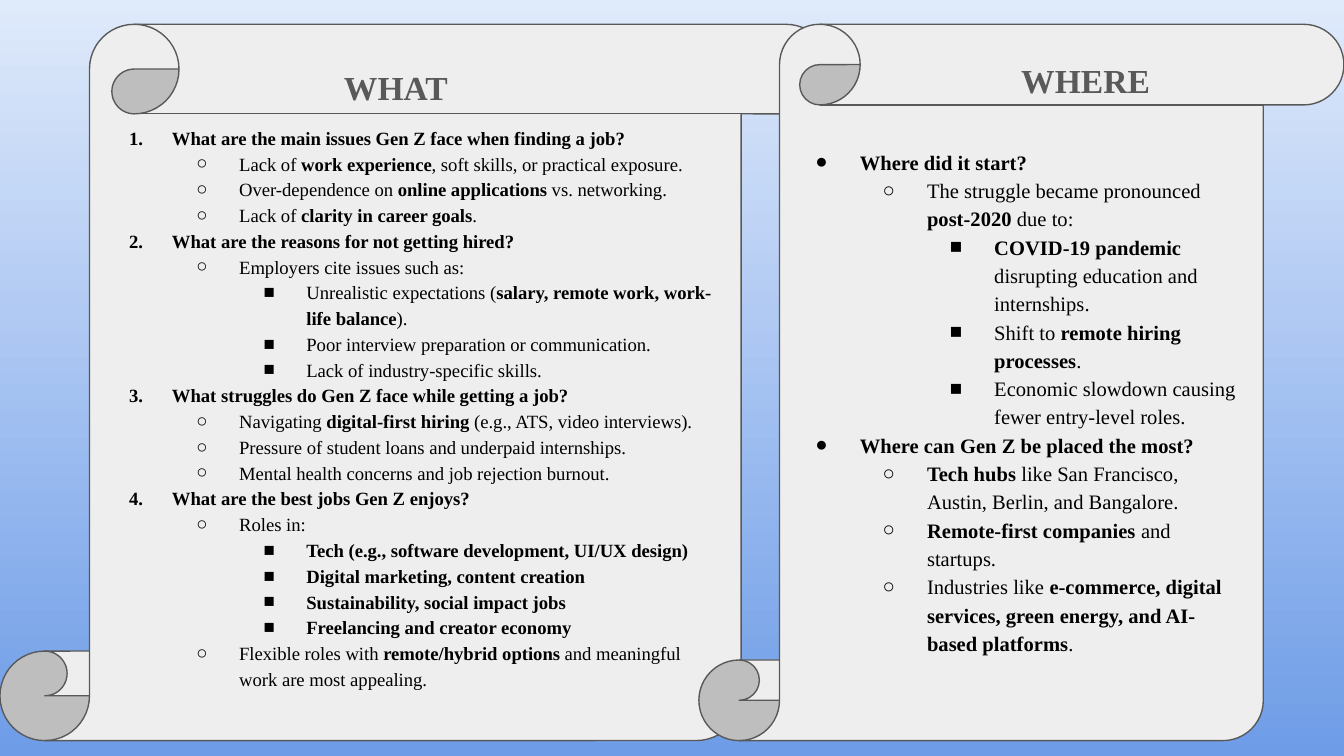
from dataclasses import dataclass

from lxml.etree import SubElement
from pptx import Presentation
from pptx.dml.color import RGBColor
from pptx.enum.shapes import MSO_SHAPE
from pptx.enum.text import MSO_ANCHOR, MSO_AUTO_SIZE, PP_ALIGN
from pptx.oxml.ns import qn
from pptx.util import Cm, Pt

SKY_TOP = RGBColor(0xDF, 0xEA, 0xFB)
SKY_BOTTOM = RGBColor(0x6E, 0x9C, 0xE7)
PAPER = RGBColor(0xEE, 0xEE, 0xEE)
GRAPHITE = RGBColor(0x59, 0x59, 0x59)
BLACK = RGBColor(0, 0, 0)
FONT = "Times New Roman"
LEVEL_STEP = 1.27
INSET = Cm(0.25)

# Each entry is (level, text); ** switches bold on and off.
WHAT_POINTS = [
    (0, "**What are the main issues Gen Z face when finding a job?**"),
    (1, "Lack of **work experience**, soft skills, or practical exposure."),
    (1, "Over-dependence on **online applications** vs. networking."),
    (1, "Lack of **clarity in career goals**."),
    (0, "**What are the reasons for not getting hired?**"),
    (1, "Employers cite issues such as:"),
    (2, "Unrealistic expectations (**salary, remote work, work-life balance**)."),
    (2, "Poor interview preparation or communication."),
    (2, "Lack of industry-specific skills."),
    (0, "**What struggles do Gen Z face while getting a job?**"),
    (1, "Navigating **digital-first hiring** (e.g., ATS, video interviews)."),
    (1, "Pressure of student loans and underpaid internships."),
    (1, "Mental health concerns and job rejection burnout."),
    (0, "**What are the best jobs Gen Z enjoys?**"),
    (1, "Roles in:"),
    (2, "**Tech (e.g., software development, UI/UX design)**"),
    (2, "**Digital marketing, content creation**"),
    (2, "**Sustainability, social impact jobs**"),
    (2, "**Freelancing and creator economy**"),
    (1, "Flexible roles with **remote/hybrid options** and meaningful work are most appealing."),
]
WHERE_POINTS = [
    (0, "**Where did it start?**"),
    (1, "The struggle became pronounced **post-2020** due to:"),
    (2, "**COVID-19 pandemic** disrupting education and internships."),
    (2, "Shift to **remote hiring processes**."),
    (2, "Economic slowdown causing fewer entry-level roles."),
    (0, "**Where can Gen Z be placed the most?**"),
    (1, "**Tech hubs** like San Francisco, Austin, Berlin, and Bangalore."),
    (1, "**Remote-first companies** and startups."),
    (1, "Industries like **e-commerce, digital services, green energy, and AI-based platforms**."),
]


@dataclass
class Box:
    """A rectangle in centimetres."""
    left: float
    top: float
    width: float
    height: float

    def inner(self, left, top, width, height):
        return Box(self.left + left, self.top + top, width, height)

    def lengths(self):
        return Cm(self.left), Cm(self.top), Cm(self.width), Cm(self.height)


def paint_background(slide):
    fill = slide.background.fill
    fill.gradient()
    fill.gradient_angle = 270
    for stop, color, position in zip(fill.gradient_stops, (SKY_TOP, SKY_BOTTOM), (0, 1)):
        stop.color.rgb = color
        stop.position = position


def place_text(placeholder, box):
    placeholder.left, placeholder.top, placeholder.width, placeholder.height = box.lengths()
    frame = placeholder.text_frame
    frame.word_wrap = True
    frame.auto_size = MSO_AUTO_SIZE.NONE
    frame.vertical_anchor = MSO_ANCHOR.TOP
    frame.margin_left = frame.margin_right = INSET
    frame.margin_top = frame.margin_bottom = INSET
    return frame


def add_run(paragraph, text, size, color, bold):
    run = paragraph.add_run()
    run.text = text
    run.font.name = FONT
    run.font.size = Pt(size)
    run.font.color.rgb = color
    run.font.bold = bold


def set_bullet(paragraph, level, hanging, numbered):
    properties = paragraph._p.get_or_add_pPr()
    properties.set("marL", str(Cm(LEVEL_STEP * (level + 1))))
    properties.set("indent", str(-Cm(hanging)))
    bullet_color = SubElement(properties, qn("a:buClr"))
    SubElement(bullet_color, qn("a:srgbClr"), val=str(BLACK))
    SubElement(properties, qn("a:buFont"), typeface=FONT)
    if numbered and level == 0:
        SubElement(properties, qn("a:buAutoNum"), type="arabicPeriod")
    else:
        SubElement(properties, qn("a:buChar"), char="●○■"[level])


def fill_list(frame, points, size, hanging, numbered):
    for index, (level, text) in enumerate(points):
        paragraph = frame.add_paragraph() if index else frame.paragraphs[0]
        paragraph.level = level
        paragraph.alignment = PP_ALIGN.LEFT
        paragraph.line_spacing = 1.15
        paragraph.space_before = Pt(0 if index else 12)
        paragraph.space_after = Pt(0)
        set_bullet(paragraph, level, hanging, numbered)
        for part, words in enumerate(text.split("**")):
            if words:
                add_run(paragraph, words, size, BLACK, part % 2 == 1)


def add_scroll(slide, box):
    scroll = slide.shapes.add_shape(MSO_SHAPE.VERTICAL_SCROLL, *box.lengths())
    scroll.adjustments[0] = 0.125
    scroll.shadow.inherit = False
    scroll.fill.solid()
    scroll.fill.fore_color.rgb = PAPER
    scroll.line.color.rgb = GRAPHITE
    scroll.line.width = Pt(0.75)
    return scroll


def build_panel(slide, box, heading, heading_box, heading_text,
                body, body_box, points, size, hanging, numbered=False):
    """Lay a scroll in the box, with its list and heading on top of it."""
    scroll = add_scroll(slide, box)
    scroll.element.addnext(body.element)
    body.element.addnext(heading.element)

    fill_list(place_text(body, body_box), points, size, hanging, numbered)

    title_line = place_text(heading, heading_box).paragraphs[0]
    title_line.alignment = PP_ALIGN.LEFT
    title_line.space_before = Pt(0)
    add_run(title_line, heading_text, 18, GRAPHITE, True)


def main():
    deck = Presentation()
    deck.slide_width, deck.slide_height = Cm(25.4), Cm(14.29)
    slide = deck.slides.add_slide(deck.slide_layouts.get_by_name("Comparison"))
    paint_background(slide)

    holders = {holder.placeholder_format.idx: holder for holder in slide.placeholders}
    what_box = Box(0, 0.46, 15.7, 13.54)
    where_box = Box(13.21, 0.46, 12.19, 13.54)
    build_panel(slide, what_box,
                holders[0], what_box.inner(6.25, 0.56, 3.3, 0.71), "WHAT",
                holders[2], what_box.inner(1.73, 1.62, 12.19, 8.61),
                WHAT_POINTS, 10, 0.81, numbered=True)
    build_panel(slide, where_box,
                holders[3], where_box.inner(5.84, 0.43, 3.3, 0.91), "WHERE",
                holders[4], where_box.inner(1.52, 2.05, 8.94, 8.18),
                WHERE_POINTS, 11, 0.84)

    unused = holders[1].element
    unused.getparent().remove(unused)
    deck.save("out.pptx")


if __name__ == "__main__":
    main()
